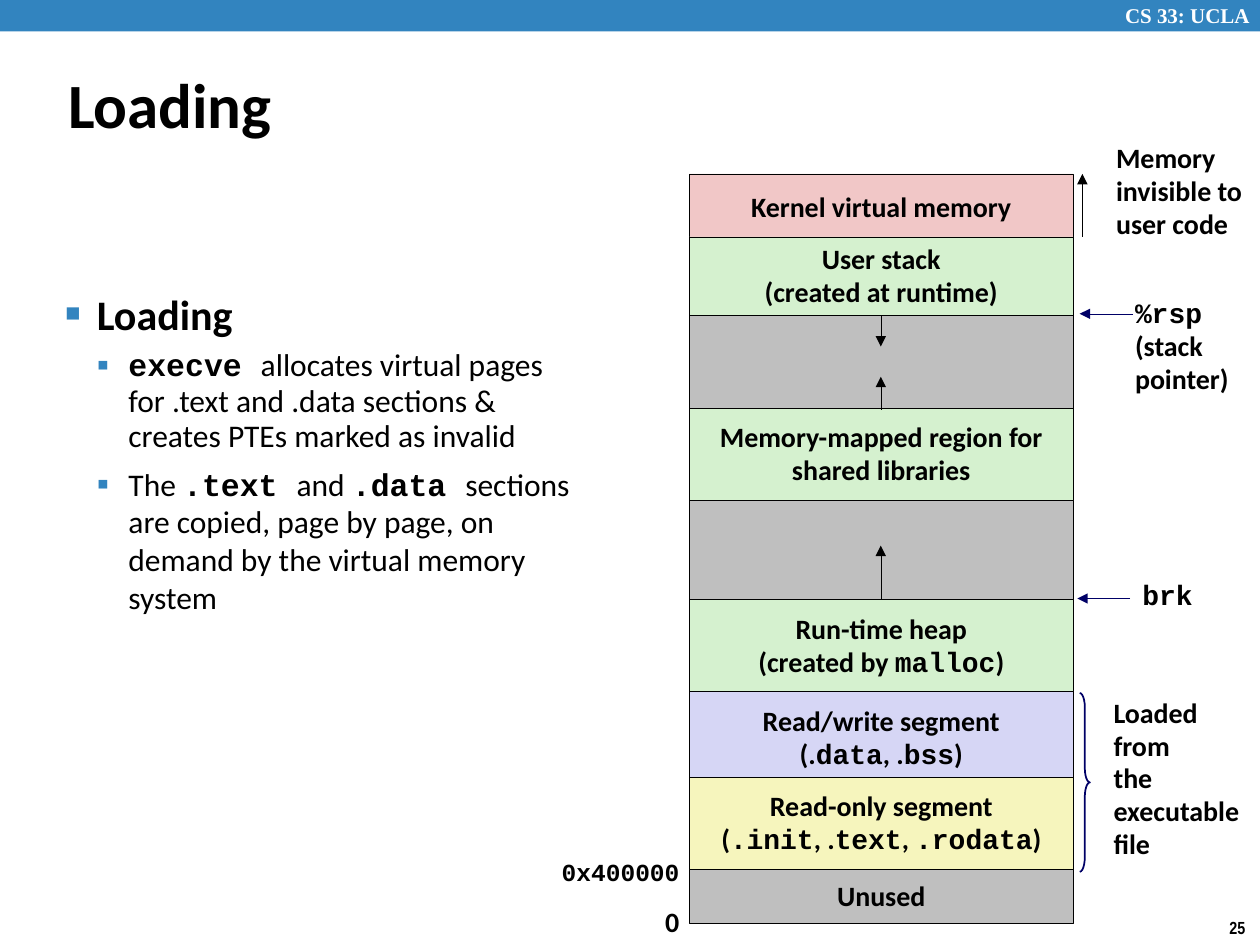
from dataclasses import dataclass

from lxml import etree
from pptx import Presentation
from pptx.dml.color import RGBColor
from pptx.enum.shapes import MSO_CONNECTOR, MSO_SHAPE
from pptx.enum.text import MSO_ANCHOR, MSO_AUTO_SIZE, PP_ALIGN
from pptx.oxml.ns import qn
from pptx.util import Pt

RECTANGLE = MSO_SHAPE.RECTANGLE
RIGHT_BRACE = MSO_SHAPE.RIGHT_BRACE
STRAIGHT = MSO_CONNECTOR.STRAIGHT
TOP, MIDDLE = MSO_ANCHOR.TOP, MSO_ANCHOR.MIDDLE
LEFT, CENTER = PP_ALIGN.LEFT, PP_ALIGN.CENTER
FIT_SHAPE, NO_FIT = MSO_AUTO_SIZE.SHAPE_TO_FIT_TEXT, MSO_AUTO_SIZE.NONE

SANS, MONO = "Calibri", "Courier New"
BLACK, WHITE, BLUE, NAVY = "000000", "FFFFFF", "3284BF", "000066"
GREEN, GRAY = "D5F1CF", "BFBFBF"
STACK_LEFT, STACK_WIDTH, STACK_AXIS = 393.8, 219.6, 503.3


@dataclass
class Region:
    top: float
    height: float
    fill: str
    text: str = ""


@dataclass
class Label:
    left: float
    top: float
    width: float
    height: float
    text: str
    size: float = 16
    font: str = SANS
    color: str = BLACK
    spacing: float = 0.98
    wrap: bool = False


@dataclass
class Arrow:
    start: tuple[float, float]
    end: tuple[float, float]
    color: str = BLACK


@dataclass
class Bullet:
    text: str
    character: str
    scale: int
    margin: float
    size: float
    level: int = 0
    bold: bool = False
    before: float = 0
    spacing: float = 1.0


REGIONS = [
    Region(99.4, 38.2, "F1C7C7", "Kernel virtual memory"),
    Region(233.3, 52.6, GREEN, "Memory-mapped region for\nshared libraries"),
    Region(285.8, 56.9, GRAY),
    Region(342.7, 52.6, GREEN, "Run-time heap\n(created by `malloc`)"),
    Region(162, 71.3, GRAY),
    Region(135.4, 44.6, GREEN, "User stack\n(created at runtime)"),
    Region(496.8, 31, GRAY, "Unused"),
    Region(395.3, 52.6, "D6D6F5", "Read/write segment\n(.`data`, .`bss`)"),
    Region(444.2, 52.6, "F6F5BD", "Read-only segment\n(`.init`, .`text`, `.rodata`)"),
]

LABELS = [
    Label(635.8, -2.2, 89.3, 21.6, "CS 33: UCLA", 12, "Times New Roman", WHITE, 1.0, True),
    Label(695.5, 520.6, 24.5, 19.4, "25", 10, "Arial Narrow", spacing=1.0),
    Label(373, 514.1, 22.3, 26.6, "0"),
    Label(313.9, 487.4, 82.1, 23.8, "`0x400000`", 14, spacing=0.94),
    Label(641.5, 166.3, 68.4, 63.4, "`%rsp`\n(stack\npointer)"),
    Label(630.7, 77.8, 90.7, 64.1, "Memory\ninvisible to\nuser code"),
    Label(645.8, 328.3, 43.2, 25.9, "`brk`", spacing=0.94),
    Label(629.3, 394.6, 90.7, 102.2, "Loaded\nfrom\nthe\nexecutable\nfile"),
]

ARROWS = [
    Arrow((STACK_AXIS, 342), (STACK_AXIS, 311.8)),
    Arrow((STACK_AXIS, 234), (STACK_AXIS, 215.3)),
    Arrow((STACK_AXIS, 180), (STACK_AXIS, 198)),
    Arrow((618.5, 135.4), (618.5, 99.4)),
    Arrow((647.3, 179.3), (617, 179.3), NAVY),
    Arrow((645.8, 342), (615.6, 342), NAVY),
]

BULLETS = [
    Bullet("Loading", "■", 60, 18, 24, bold=True),
    Bullet("`execve `allocates virtual pages for .text and .data sections & "
           "creates PTEs marked as invalid", "▪", 110, 36, 18, 1, before=5.6, spacing=0.94),
    Bullet("The `.text `and `.data `sections are copied, page by page, on demand "
           "by the virtual memory system", "▪", 110, 36, 18, 1, before=5.6),
]


def rgb(color: str) -> RGBColor:
    return RGBColor.from_string(color)


def write(frame, text: str, *, size: float, font: str = SANS, color: str = BLACK,
          bold: bool = True, align=LEFT, spacing: float = 1.0, paragraph=None) -> None:
    for index, line in enumerate(text.split("\n")):
        target = paragraph
        if target is None:
            target = frame.paragraphs[0] if index == 0 else frame.add_paragraph()
        target.alignment = align
        target.line_spacing = spacing
        for position, piece in enumerate(line.split("`")):
            if not piece:
                continue
            is_code = position % 2 == 1
            run = target.add_run()
            run.text = piece
            run.font.name = MONO if is_code else font
            run.font.size = Pt(size)
            run.font.bold = bold or is_code
            run.font.color.rgb = rgb(color)


def place(shape, left: float, top: float, width: float, height: float) -> None:
    shape.left, shape.top = Pt(left), Pt(top)
    shape.width, shape.height = Pt(width), Pt(height)


def draw_shape(slide, kind, box: tuple, fill: str | None = None,
               line: str | None = None, weight: float = 0.25):
    shape = slide.shapes.add_shape(kind, *map(Pt, box))
    shape.shadow.inherit = False
    if fill:
        shape.fill.solid()
        shape.fill.fore_color.rgb = rgb(fill)
    else:
        shape.fill.background()
    if line:
        shape.line.color.rgb = rgb(line)
        shape.line.width = Pt(weight)
    else:
        shape.line.fill.background()
    return shape


def draw_region(slide, region: Region) -> None:
    box = (STACK_LEFT, region.top, STACK_WIDTH, region.height)
    frame = draw_shape(slide, RECTANGLE, box, region.fill, BLACK).text_frame
    if region.text:
        frame.word_wrap = False
        frame.vertical_anchor = MIDDLE
        write(frame, region.text, size=16, align=CENTER, spacing=0.98)


def draw_label(slide, label: Label) -> None:
    box = (label.left, label.top, label.width, label.height)
    frame = slide.shapes.add_textbox(*map(Pt, box)).text_frame
    frame.word_wrap = label.wrap
    frame.auto_size = FIT_SHAPE
    write(frame, label.text, size=label.size, font=label.font,
          color=label.color, spacing=label.spacing)


def draw_arrow(slide, arrow: Arrow) -> None:
    connector = slide.shapes.add_connector(STRAIGHT, *map(Pt, arrow.start + arrow.end))
    connector.line.color.rgb = rgb(arrow.color)
    connector.line.width = Pt(0.25)
    etree.SubElement(connector.line._get_or_add_ln(), qn("a:tailEnd"), type="triangle")
    etree.SubElement(connector._element.spPr, qn("a:effectLst"))


def write_bullet(frame, paragraph, bullet: Bullet) -> None:
    paragraph.level = bullet.level
    properties = paragraph._p.get_or_add_pPr()
    properties.set("marL", str(Pt(bullet.margin)))
    properties.set("indent", str(Pt(-18)))
    bullet_color = etree.SubElement(properties, qn("a:buClr"))
    etree.SubElement(bullet_color, qn("a:srgbClr"), val=BLUE)
    etree.SubElement(properties, qn("a:buSzPct"), val=str(bullet.scale * 1000))
    etree.SubElement(properties, qn("a:buChar"), char=bullet.character)
    paragraph.space_before = Pt(bullet.before)
    write(frame, bullet.text, size=bullet.size, bold=bullet.bold,
          spacing=bullet.spacing, paragraph=paragraph)


def main() -> None:
    presentation = Presentation()
    presentation.slide_width, presentation.slide_height = Pt(720), Pt(540)
    slide = presentation.slides.add_slide(presentation.slide_layouts[1])

    title, body = slide.shapes.title, slide.placeholders[1]
    place(title, 31.7, 28.1, 652.3, 61.9)
    title.text_frame.vertical_anchor = MIDDLE
    title.text_frame.auto_size = NO_FIT
    write(title.text_frame, "Loading", size=36)

    place(body, 30.2, 161, 311.8, 341.6)
    frame = body.text_frame
    frame.vertical_anchor = TOP
    frame.auto_size = NO_FIT
    for index, bullet in enumerate(BULLETS):
        paragraph = frame.paragraphs[0] if index == 0 else frame.add_paragraph()
        write_bullet(frame, paragraph, bullet)

    draw_shape(slide, RECTANGLE, (0, 0, 720, 18), BLUE)
    for region in REGIONS:
        draw_region(slide, region)
    for arrow in ARROWS:
        draw_arrow(slide, arrow)
    brace = draw_shape(slide, RIGHT_BRACE, (617, 396, 5.8, 102.2), line=NAVY, weight=1)
    brace.adjustments[0] = 1.42
    for label in LABELS:
        draw_label(slide, label)
    presentation.save("out.pptx")


if __name__ == "__main__":
    main()
